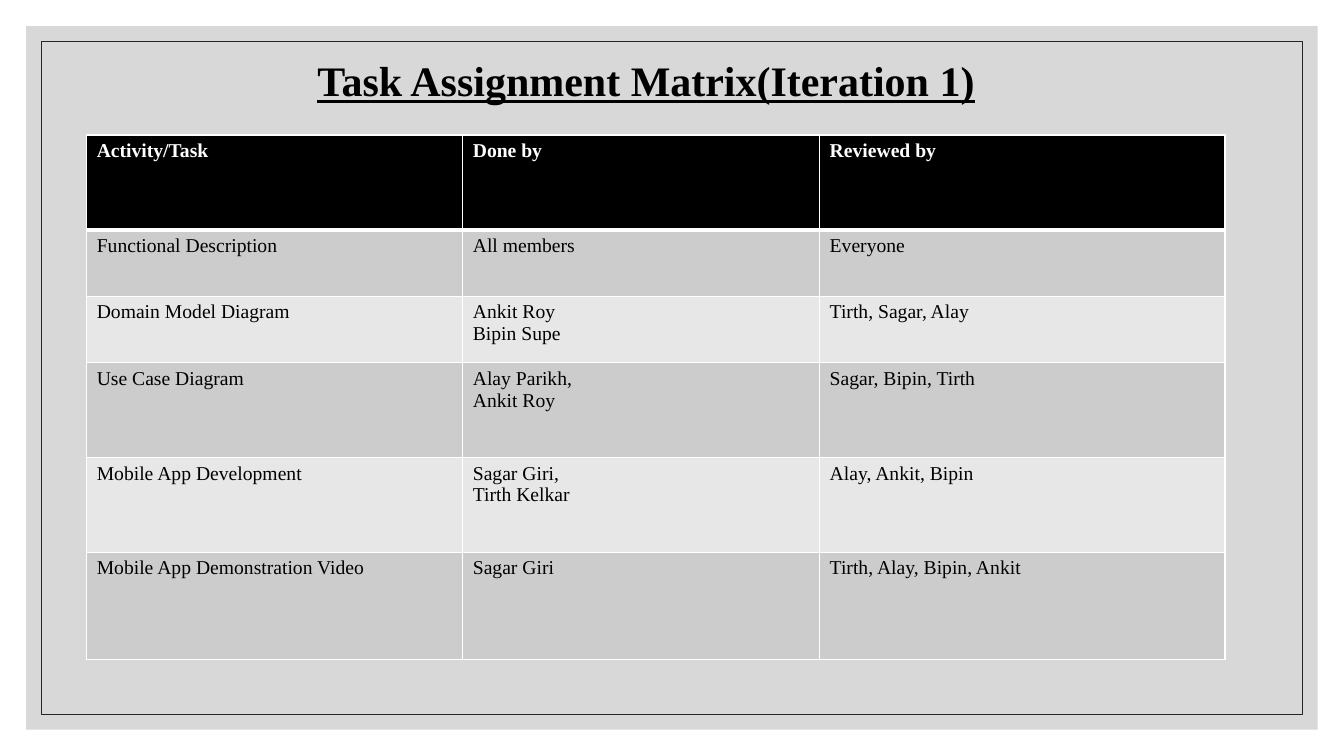
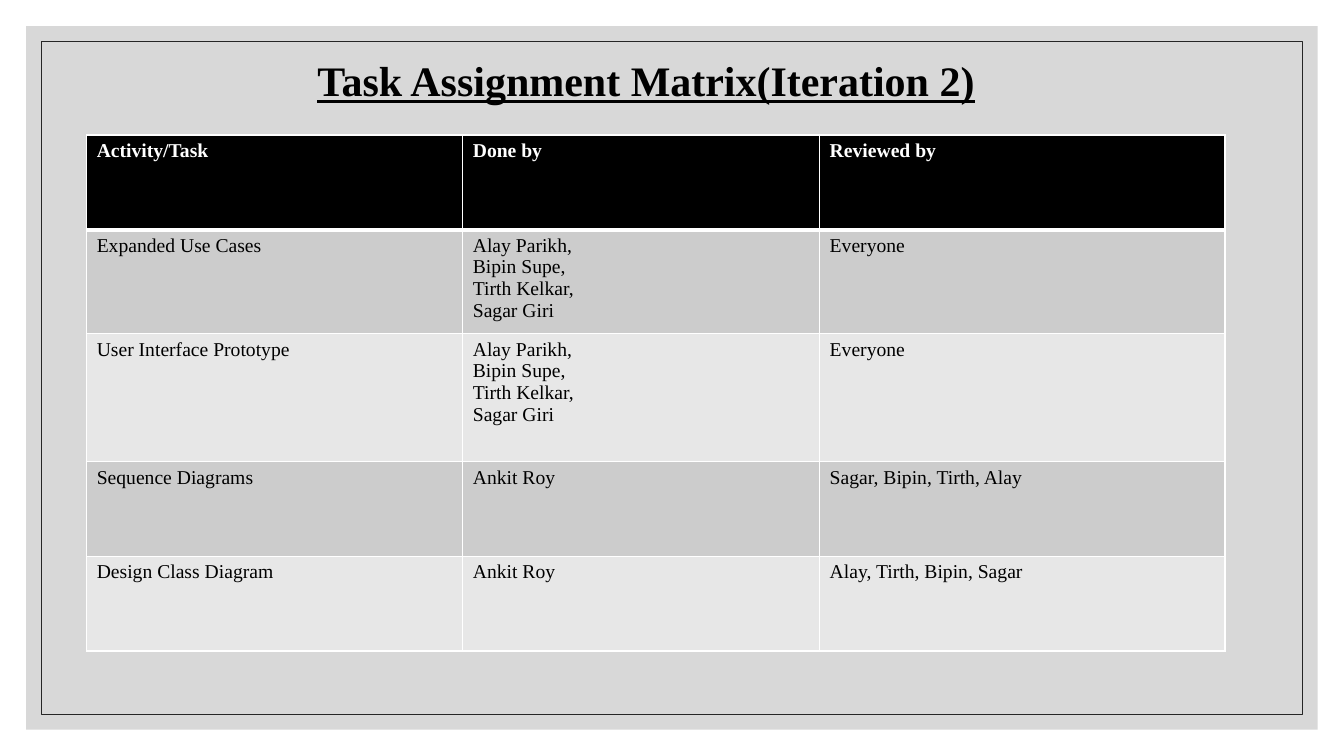
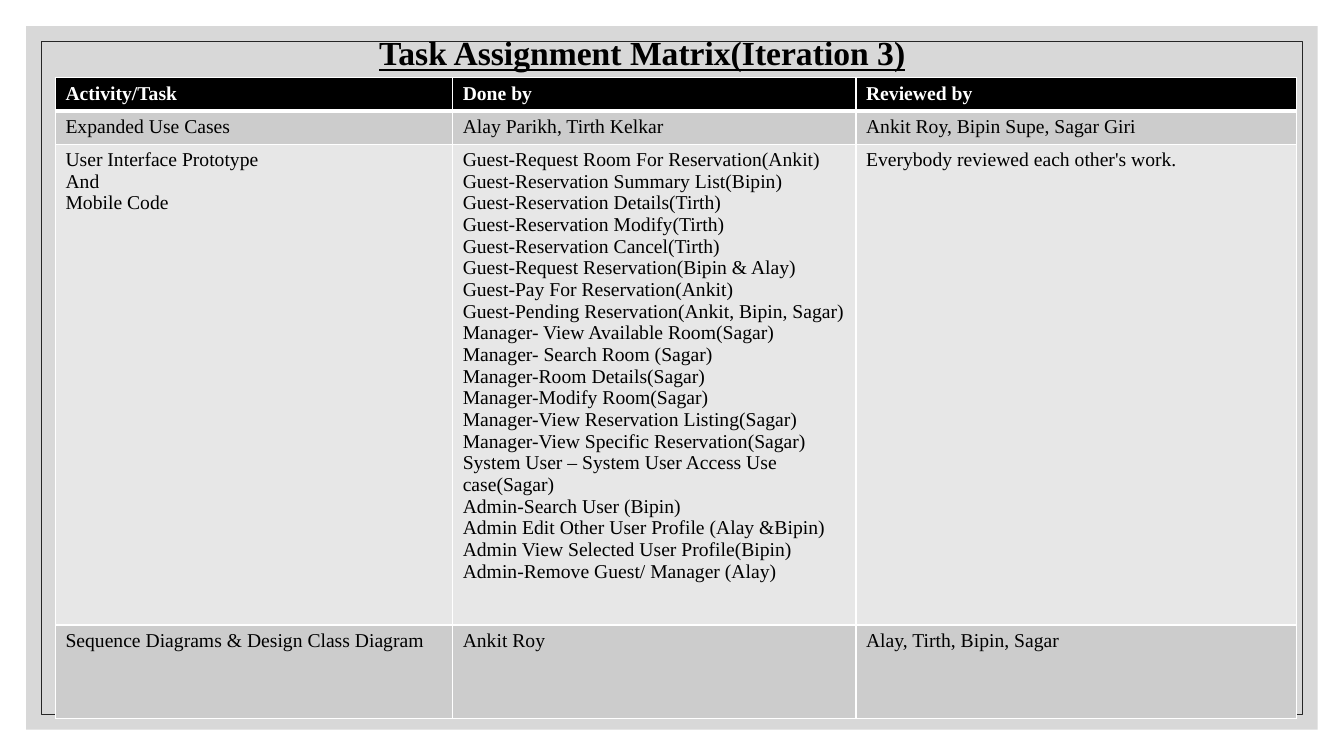
from dataclasses import dataclass

from lxml.etree import SubElement
from pptx import Presentation
from pptx.dml.color import RGBColor
from pptx.enum.shapes import MSO_SHAPE
from pptx.enum.text import MSO_ANCHOR, MSO_AUTO_SIZE, PP_ALIGN
from pptx.oxml import parse_xml
from pptx.oxml.ns import nsdecls, qn
from pptx.util import Inches, Pt


@dataclass(frozen=True)
class Theme:
    font: str = "Times New Roman"
    text: str = "000000"
    header_fill: str = "000000"
    header_text: str = "FFFFFF"
    bands: tuple = ("CCCCCC", "E7E7E7")
    border: str = "FFFFFF"
    panel: str = "BFBFBF"
    panel_opacity: int = 60
    outline: str = "262626"
    cell_size: int = 14
    thin: int = 1
    thick: int = 3


THEME = Theme()
SLIDE_WIDTH, SLIDE_HEIGHT = 13.33, 7.5
HEADER = ("Activity/Task", "Done by", "Reviewed by")
TEAM = "Alay Parikh,\nBipin Supe,\nTirth Kelkar,\nSagar Giri"

# Boxes are left, top, width, height in inches
WIDE_LAYOUT = dict(title_box=(1.32, 0.49, 10.18, 0.61), title_size=30,
                   table_box=(0.86, 1.34, 11.3), columns=(3.73, 3.54, 4.02))
DENSE_LAYOUT = dict(title_box=(1.28, 0.27, 10.18, 0.5), title_size=24,
                    table_box=(0.55, 0.77, 12.32), columns=(3.94, 4, 4.37))

RESERVATION_SCREENS = "\n".join((
    "Guest-Request Room For Reservation(Ankit)",
    "Guest-Reservation Summary List(Bipin)",
    "Guest-Reservation Details(Tirth)",
    "Guest-Reservation Modify(Tirth)",
    "Guest-Reservation Cancel(Tirth)",
    "Guest-Request Reservation(Bipin & Alay)",
    "Guest-Pay For Reservation(Ankit)",
    "Guest-Pending Reservation(Ankit, Bipin, Sagar)",
    "Manager- View Available Room(Sagar)",
    "Manager- Search Room (Sagar)",
    "Manager-Room Details(Sagar)",
    "Manager-Modify Room(Sagar)",
    "Manager-View Reservation Listing(Sagar)",
    "Manager-View Specific Reservation(Sagar)",
    "System User – System User Access Use case(Sagar)",
    "Admin-Search User (Bipin)",
    "Admin Edit Other User Profile (Alay &Bipin)",
    "Admin View Selected User Profile(Bipin)",
    "Admin-Remove Guest/ Manager (Alay)",
))

ITERATIONS = (
    dict(number=1, **WIDE_LAYOUT, heights=(0.94, 0.66, 0.66, 0.94, 0.94, 1.06), rows=(
        ("Functional Description", "All members", "Everyone"),
        ("Domain Model Diagram", "Ankit Roy\nBipin Supe", "Tirth, Sagar, Alay"),
        ("Use Case Diagram", "Alay Parikh,\nAnkit Roy", "Sagar, Bipin, Tirth"),
        ("Mobile App Development", "Sagar Giri,\nTirth Kelkar", "Alay, Ankit, Bipin"),
        ("Mobile App Demonstration Video", "Sagar Giri", "Tirth, Alay, Bipin, Ankit"),
    )),
    dict(number=2, **WIDE_LAYOUT, heights=(0.94, 1.03, 1.27, 0.94, 0.94), rows=(
        ("Expanded Use Cases", TEAM, "Everyone"),
        ("User Interface Prototype", TEAM, "Everyone"),
        ("Sequence Diagrams", "Ankit Roy", "Sagar, Bipin, Tirth, Alay"),
        ("Design Class Diagram", "Ankit Roy", "Alay, Tirth, Bipin, Sagar"),
    )),
    dict(number=3, **DENSE_LAYOUT, heights=(0.33, 0.33, 4.77, 0.93), rows=(
        ("Expanded Use Cases", "Alay Parikh, Tirth Kelkar",
         "Ankit Roy, Bipin Supe, Sagar Giri"),
        ("User Interface Prototype\nAnd\nMobile Code", RESERVATION_SCREENS,
         "Everybody reviewed each other's work."),
        ("Sequence Diagrams & Design Class Diagram", "Ankit Roy",
         "Alay, Tirth, Bipin, Sagar"),
    )),
)


def style_paragraph(paragraph, size, color, bold=False, underline=False):
    font = paragraph.font
    font.name, font.size = THEME.font, Pt(size)
    font.bold, font.underline = bold, underline
    font.color.rgb = RGBColor.from_string(color)


def add_inset_rectangle(slide, inset):
    """Add a plain rectangle the same distance from every slide edge."""
    shape = slide.shapes.add_shape(
        MSO_SHAPE.RECTANGLE, Inches(inset), Inches(inset),
        Inches(SLIDE_WIDTH - 2 * inset), Inches(SLIDE_HEIGHT - 2 * inset))
    shape.shadow.inherit = False
    return shape


def prepare_layout(layout, slide):
    """Give the layout its shared panel and outline, and only a title."""
    for placeholder in list(layout.placeholders):
        if placeholder.placeholder_format.idx != 0:
            placeholder.element.getparent().remove(placeholder.element)

    # Translucent panel
    panel = add_inset_rectangle(slide, 0.26)
    panel.fill.solid()
    panel.fill.fore_color.rgb = RGBColor.from_string(THEME.panel)
    color = panel.element.spPr.find(qn("a:solidFill")).find(qn("a:srgbClr"))
    SubElement(color, qn("a:alpha"), val=str(THEME.panel_opacity * 1000))
    panel.line.fill.background()

    # Thin outline
    outline = add_inset_rectangle(slide, 0.41)
    outline.fill.background()
    outline.line.color.rgb = RGBColor.from_string(THEME.outline)
    outline.line.width = Pt(0.5)

    # Move both behind the layout's title
    tree = layout.element.cSld.spTree
    for position, shape in enumerate((panel, outline), start=2):
        tree.insert(position, shape.element)


def set_title(slide, text, box, size):
    title = slide.shapes.title
    title.left, title.top, title.width, title.height = map(Inches, box)
    frame = title.text_frame
    frame.text = text
    frame.word_wrap = True
    frame.auto_size = MSO_AUTO_SIZE.NONE
    frame.vertical_anchor = MSO_ANCHOR.MIDDLE
    paragraph = frame.paragraphs[0]
    paragraph.alignment = PP_ALIGN.CENTER
    style_paragraph(paragraph, size, THEME.text, bold=True, underline=True)


def set_borders(cell, top, bottom):
    widths = dict(lnL=THEME.thin, lnR=THEME.thin, lnT=top, lnB=bottom)
    properties = cell._tc.get_or_add_tcPr()
    for position, (side, width) in enumerate(widths.items()):
        properties.insert(position, parse_xml(
            f'<a:{side} {nsdecls("a")} w="{Pt(width)}"><a:solidFill>'
            f'<a:srgbClr val="{THEME.border}"/></a:solidFill></a:{side}>'))


def fill_cell(cell, text, row_index):
    is_header = row_index == 0
    fill = THEME.header_fill if is_header else THEME.bands[(row_index - 1) % 2]
    cell.fill.solid()
    cell.fill.fore_color.rgb = RGBColor.from_string(fill)
    set_borders(cell,
                top=THEME.thick if row_index == 1 else THEME.thin,
                bottom=THEME.thick if is_header else THEME.thin)
    cell.text = text
    for paragraph in cell.text_frame.paragraphs:
        style_paragraph(paragraph, THEME.cell_size,
                        THEME.header_text if is_header else THEME.text, bold=is_header)


def add_task_table(slide, rows, box, columns, heights):
    left, top, width = map(Inches, box)
    table = slide.shapes.add_table(len(rows), len(columns), left, top, width,
                                   Inches(sum(heights))).table
    table.horz_banding = False
    for column, column_width in zip(table.columns, columns):
        column.width = Inches(column_width)
    for row_index, (row, height) in enumerate(zip(table.rows, heights)):
        row.height = Inches(height)
        for cell, text in zip(row.cells, rows[row_index]):
            fill_cell(cell, text, row_index)


def build_matrix_slide(slide, iteration):
    set_title(slide, f"Task Assignment Matrix(Iteration {iteration['number']})",
              iteration["title_box"], iteration["title_size"])
    add_task_table(slide, (HEADER, *iteration["rows"]), iteration["table_box"],
                   iteration["columns"], iteration["heights"])


def main():
    presentation = Presentation()
    presentation.slide_width = Inches(SLIDE_WIDTH)
    presentation.slide_height = Inches(SLIDE_HEIGHT)
    layout = presentation.slide_layouts.get_by_name("Title Only")
    slides = [presentation.slides.add_slide(layout) for _ in ITERATIONS]
    prepare_layout(layout, slides[0])
    for slide, iteration in zip(slides, ITERATIONS):
        build_matrix_slide(slide, iteration)
    presentation.save("out.pptx")


if __name__ == "__main__":
    main()
